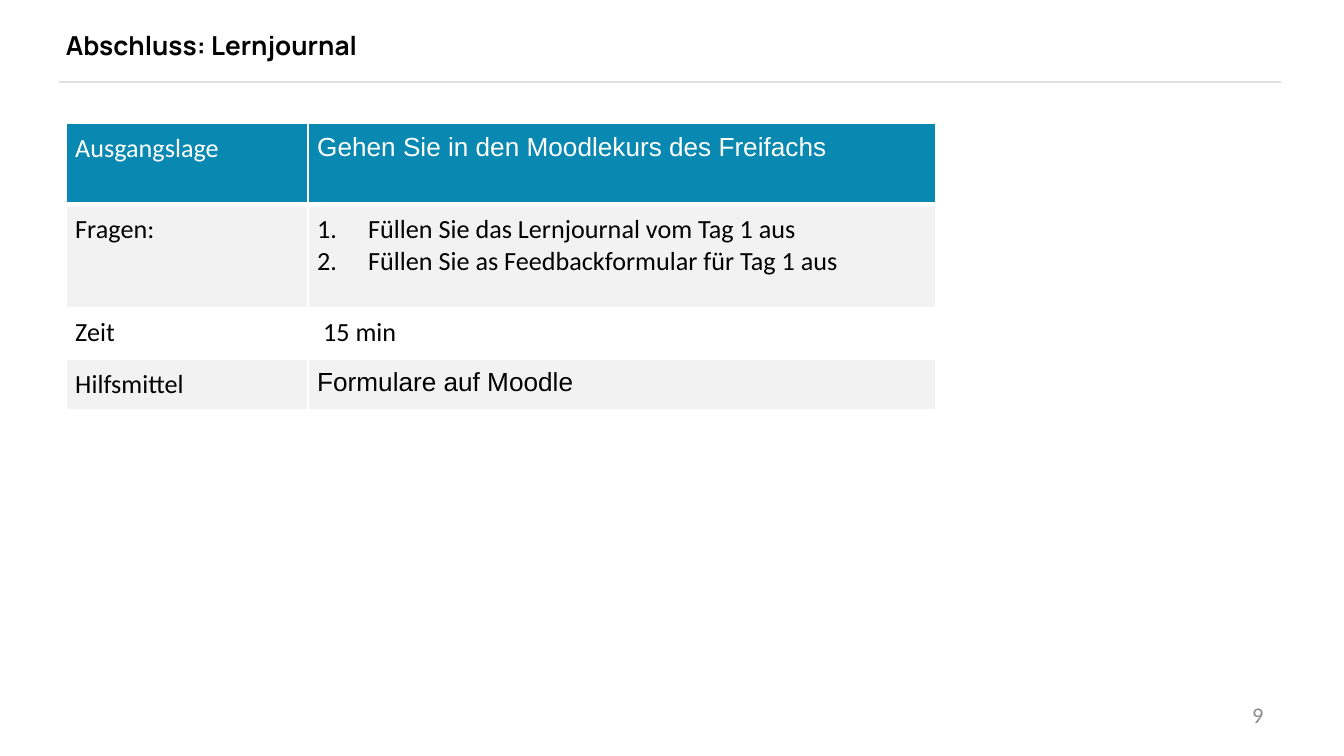
"""Build the closing slide on the learning journal."""
from dataclasses import dataclass

from lxml import etree
from pptx import Presentation
from pptx.dml.color import RGBColor
from pptx.enum import shapes, text
from pptx.oxml import ns
from pptx.util import Inches, Pt


@dataclass(frozen=True)
class Theme:
    header: str = "0989B1"
    band: str = "F2F2F2"
    white: str = "FFFFFF"
    black: str = "000000"
    rule: str = "E0E0E0"
    muted: str = "8C8C8C"
    title_font: str = "Manrope"
    body_font: str = "Calibri"
    value_font: str = "Arial"
    body_size: int = 14
    number_size: int = 12


theme = Theme()


def set_font(paragraph, name, color, size=theme.body_size, bold=False):
    font = paragraph.font
    font.name, font.size, font.bold = name, Pt(size), bold
    font.color.rgb = RGBColor.from_string(color)


def add_border(cell, side, width):
    line = etree.SubElement(cell._tc.get_or_add_tcPr(), ns.qn(f"a:ln{side}"), w=str(Pt(width)))
    fill = etree.SubElement(line, ns.qn("a:solidFill"))
    etree.SubElement(fill, ns.qn("a:srgbClr"), val=theme.white)


presentation = Presentation()
presentation.slide_width = Inches(10)
presentation.slide_height = Inches(10) * 9 // 16
slide = presentation.slides.add_slide(presentation.slide_layouts[5])

rule = slide.shapes.add_connector(
    shapes.MSO_CONNECTOR.STRAIGHT, Inches(9.53), Inches(0.61), Inches(0.44), Inches(0.61)
)
rule.line.color.rgb = RGBColor.from_string(theme.rule)
rule.line.width = Pt(0.75)
etree.SubElement(rule._element.spPr, ns.qn("a:effectLst"))

title = slide.shapes.title
title.left, title.top, title.width, title.height = Inches(0.49), Inches(0.14), Inches(6.67), Inches(0.39)
frame = title.text_frame
frame.text = "Abschluss: Lernjournal"
frame.auto_size = text.MSO_AUTO_SIZE.NONE
frame.vertical_anchor = text.MSO_ANCHOR.MIDDLE
frame.margin_left = frame.margin_right = frame.margin_top = frame.margin_bottom = 0
frame.paragraphs[0].alignment = text.PP_ALIGN.LEFT
set_font(frame.paragraphs[0], theme.title_font, theme.black, bold=True)

page_number = slide.shapes.add_textbox(Inches(7.17), Inches(5.17), Inches(2.33), Inches(0.3))
frame = page_number.text_frame
frame.word_wrap = True
frame.vertical_anchor = text.MSO_ANCHOR.MIDDLE
frame.text = "9"
frame.paragraphs[0].alignment = text.PP_ALIGN.RIGHT
set_font(frame.paragraphs[0], theme.body_font, theme.muted, theme.number_size)

questions = "Füllen Sie das Lernjournal vom Tag 1 aus\nFüllen Sie as Feedbackformular für Tag 1 aus"
rows = [
    (0.6, theme.header, "Ausgangslage", "Gehen Sie in den Moodlekurs des Freifachs", theme.value_font),
    (0.77, theme.band, "Fragen:", questions, theme.body_font),
    (0.38, theme.white, "Zeit", " 15 min", theme.body_font),
    (0.38, theme.band, "Hilfsmittel", "Formulare auf Moodle", theme.value_font),
]
table = slide.shapes.add_table(
    len(rows), 2, Inches(0.49), Inches(0.92), Inches(6.47), Inches(2.13)
).table
table.first_row = table.horz_banding = False
for column, width in zip(table.columns, (1.8, 4.67)):
    column.width = Inches(width)

for row_index, (height, fill_color, label, value, value_font) in enumerate(rows):
    table.rows[row_index].height = Inches(height)
    text_color = theme.white if row_index == 0 else theme.black
    for column_index, (content, font_name) in enumerate(((label, theme.body_font), (value, value_font))):
        cell = table.cell(row_index, column_index)
        cell.margin_left = cell.margin_right = cell.margin_top = cell.margin_bottom = Inches(0.07)
        for side in "LRTB":
            below_header = (row_index, side) in ((0, "B"), (1, "T"))
            add_border(cell, side, 3 if below_header else 1)
        cell.fill.solid()
        cell.fill.fore_color.rgb = RGBColor.from_string(fill_color)
        cell.text = content
        for paragraph in cell.text_frame.paragraphs:
            if content == questions:
                properties = paragraph._p.get_or_add_pPr()
                properties.set("marL", str(Inches(0.38)))
                properties.set("indent", str(-Inches(0.38)))
                etree.SubElement(properties, ns.qn("a:buFont"), typeface="+mj-lt")
                etree.SubElement(properties, ns.qn("a:buAutoNum"), type="arabicPeriod")
            set_font(paragraph, font_name, text_color)

presentation.save("out.pptx")
